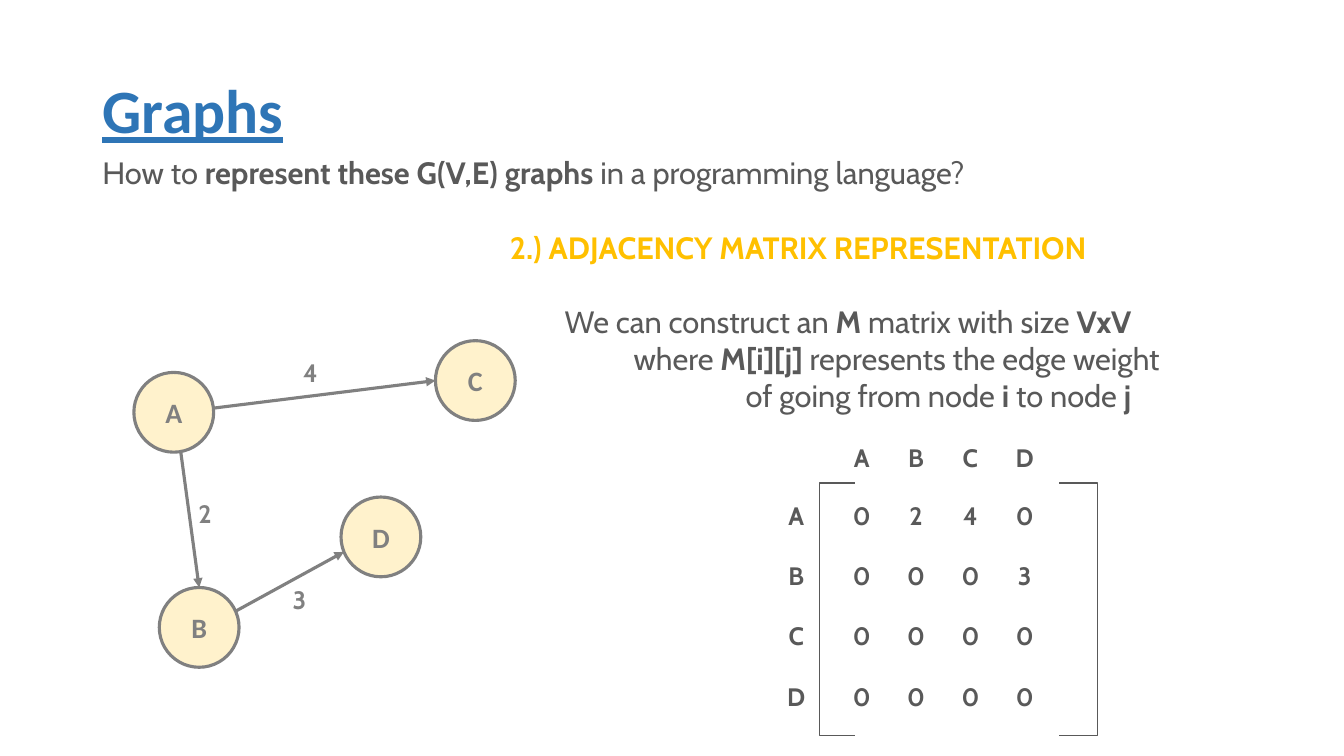
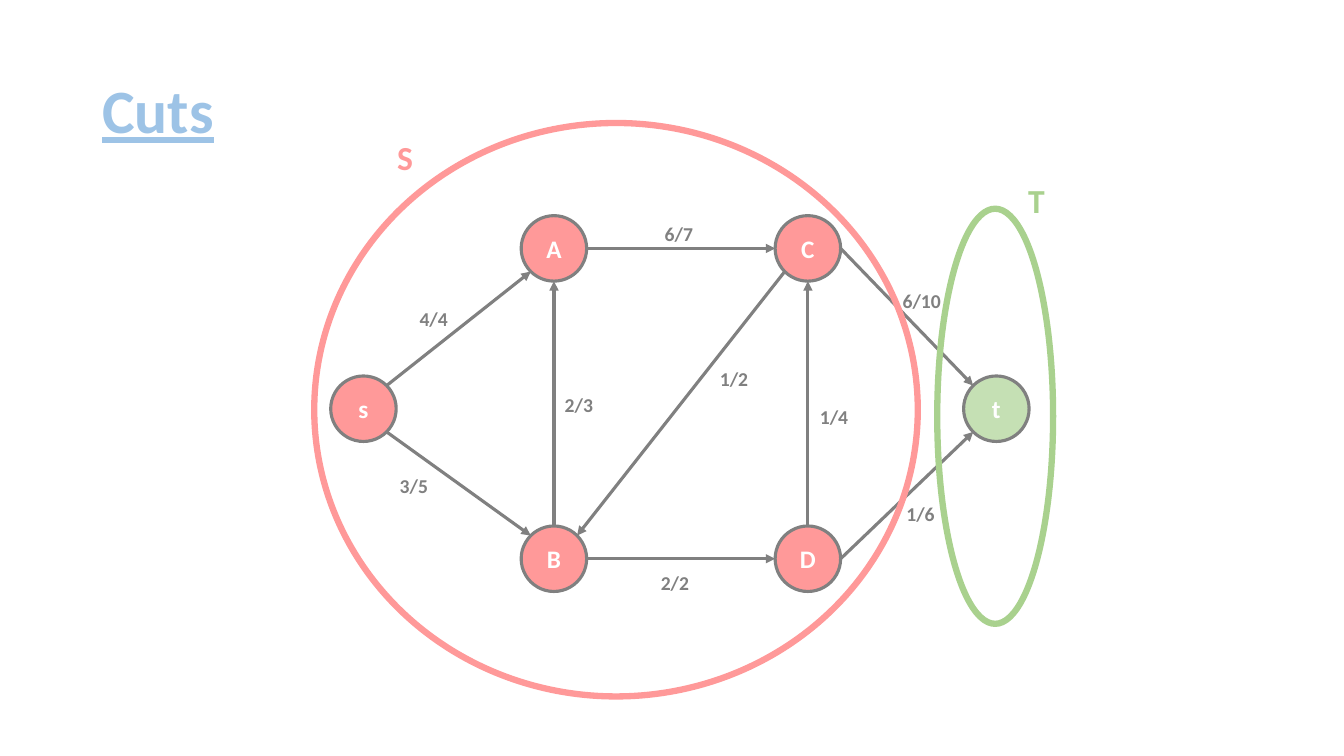
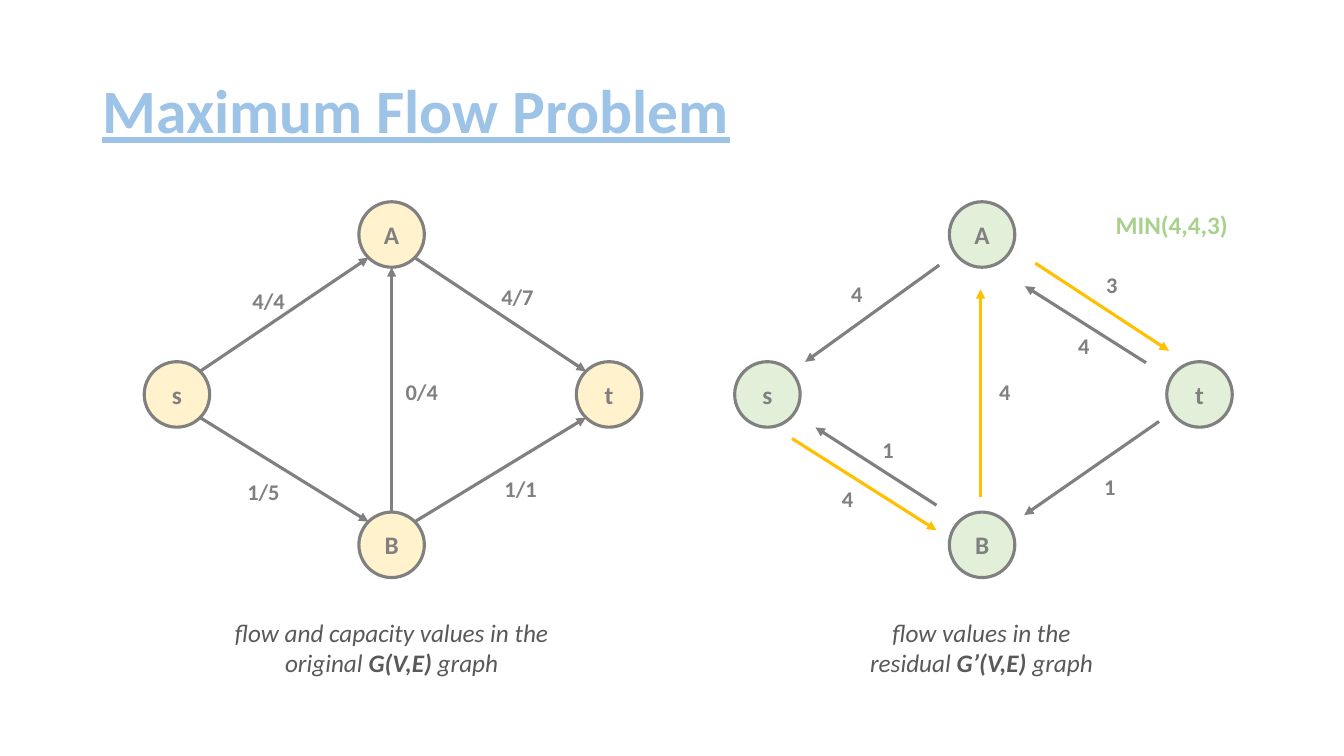
"""Build three slides on graph representation, cuts and maximum flow."""
from math import cos, radians, sin

from lxml.etree import SubElement
from pptx import Presentation
from pptx.dml.color import RGBColor
from pptx.enum.shapes import MSO_CONNECTOR, MSO_SHAPE
from pptx.enum.text import MSO_ANCHOR, PP_ALIGN
from pptx.oxml.ns import qn
from pptx.util import Cm, Pt

COLORS = {
    "blue": "2E75B6",
    "light_blue": "9DC3E6",
    "text": "595959",
    "gray": "808080",
    "gold": "FFC000",
    "cream": "FFF2CC",
    "red": "FF9999",
    "green": "A9D18E",
    "soft_green": "C5E0B4",
    "pale_green": "E2F0D9",
    "white": "FFFFFF",
}
HEADING_FONT = "Calibri"
BODY_FONT = "Cabin"
NODE_SIZE = 1.65


def rgb(name):
    return RGBColor.from_string(COLORS[name])


def lengths(*values):
    return [Cm(value) for value in values]


def write_text(frame, text, size=18, color="text", font=HEADING_FONT, bold=False,
               italic=False, underline=False, align=PP_ALIGN.LEFT, spacing=None,
               indents=()):
    for number, line in enumerate(text.split("\n")):
        paragraph = frame.add_paragraph() if number else frame.paragraphs[0]
        paragraph.alignment = align
        if spacing:
            paragraph.line_spacing = spacing
        if indents:
            paragraph._p.get_or_add_pPr().set("marL", str(Cm(indents[number])))
        for part, words in enumerate(line.split("**")):
            if not words:
                continue
            run = paragraph.add_run()
            run.text = words
            run.font.name = font
            run.font.size = Pt(size)
            run.font.bold = bold or part % 2 == 1
            run.font.italic = italic
            run.font.underline = underline
            run.font.color.rgb = rgb(color)


def add_text(slide, text, box, anchor=MSO_ANCHOR.TOP, wrap=True, **text_format):
    frame = slide.shapes.add_textbox(*lengths(*box)).text_frame
    frame.word_wrap = wrap
    frame.vertical_anchor = anchor
    write_text(frame, text, **text_format)


def add_title(slide, text, color="light_blue"):
    add_text(slide, text, (2.33, 1.02, 29.21, 3.68), anchor=MSO_ANCHOR.MIDDLE,
             size=44, color=color, bold=True, underline=True, spacing=0.9)


def add_label(slide, text, x, y, size=16, color="gray", font=HEADING_FONT):
    width = len(text) * size * 0.018 + 0.5
    height = size * 0.042 + 0.25
    add_text(slide, text, (x - width / 2, y - height / 2, width, height), wrap=False,
             size=size, color=color, font=font, bold=True, align=PP_ALIGN.CENTER)


def add_labels(slide, labels, **text_format):
    for text, x, y in labels:
        add_label(slide, text, x, y, **text_format)


def add_outline(slide, kind, box, color, width, fill=None):
    shape = slide.shapes.add_shape(kind, *lengths(*box))
    shape.shadow.inherit = False
    if fill:
        shape.fill.solid()
        shape.fill.fore_color.rgb = rgb(fill)
    else:
        shape.fill.background()
    shape.line.color.rgb = rgb(color)
    shape.line.width = Pt(width)
    return shape


def add_node(slide, name, center, fill, diameter=NODE_SIZE, size=18, color="gray"):
    x, y = center
    box = (x - diameter / 2, y - diameter / 2, diameter, diameter)
    shape = add_outline(slide, MSO_SHAPE.OVAL, box, "gray", 2.25, fill)
    frame = shape.text_frame
    frame.margin_left = frame.margin_right = 0
    frame.vertical_anchor = MSO_ANCHOR.MIDDLE
    write_text(frame, name, size=size, color=color, bold=True, align=PP_ALIGN.CENTER)


def add_arrow(slide, start, end, color="gray"):
    connector = slide.shapes.add_connector(MSO_CONNECTOR.STRAIGHT, *lengths(*start, *end))
    connector.line.color.rgb = rgb(color)
    connector.line.width = Pt(2.25)
    properties = connector._element.spPr
    SubElement(properties.find(qn("a:ln")), qn("a:tailEnd"), type="triangle")
    SubElement(properties, qn("a:effectLst"))


def rim_point(center, angle, diameter):
    x, y = center
    radius = diameter / 2
    return x + radius * cos(radians(angle)), y - radius * sin(radians(angle))


def add_edges(slide, nodes, edges, diameter=NODE_SIZE):
    for source, leave, target, arrive in edges:
        add_arrow(slide, rim_point(nodes[source], leave, diameter),
                  rim_point(nodes[target], arrive, diameter))


def add_matrix(slide, names, rows):
    cells = [["", *names]] + [[name, *row] for name, row in zip(names, rows)]
    widths = [1.93] + [1.37] * len(names)
    heights = [1.4] + [1.52] * len(rows)
    box = (19.1, 10.85, sum(widths), sum(heights))
    table = slide.shapes.add_table(len(cells), len(widths), *lengths(*box)).table
    table.first_row = False
    table.horz_banding = False
    for column, width in zip(table.columns, widths):
        column.width = Cm(width)
    for row, height, values in zip(table.rows, heights, cells):
        row.height = Cm(height)
        for cell, value in zip(row.cells, values):
            cell.fill.background()
            cell.margin_left = cell.margin_right = 0
            cell.margin_top = cell.margin_bottom = 0
            cell.vertical_anchor = MSO_ANCHOR.MIDDLE
            write_text(cell.text_frame, str(value), font=BODY_FONT, bold=True,
                       align=PP_ALIGN.CENTER)
    for kind, left, width in ((MSO_SHAPE.LEFT_BRACKET, 20.65, 0.89),
                              (MSO_SHAPE.RIGHT_BRACKET, 26.7, 0.96)):
        bracket = add_outline(slide, kind, (left, 12.17, width, 6.37), "text", 1)
        bracket.adjustments[0] = 0


def build_graphs(slide):
    add_title(slide, "Graphs", color="blue")
    add_text(slide, "How to **represent these G(V,E) graphs** in a programming language?",
             (2.33, 3.76, 24.18, 1.19), size=22, font=BODY_FONT)
    add_text(slide, "2.) ADJACENCY MATRIX REPRESENTATION", (12.6, 5.64, 19.38, 1.19),
             size=22, color="gold", font=BODY_FONT, bold=True)
    add_text(slide,
             "We can construct an **M** matrix with size **VxV**\n"
             "where **M[i][j]** represents the edge weight\n"
             "of going from node **i** to node **j**",
             (12.6, 7.5, 19.38, 3.1), size=22, font=BODY_FONT, indents=(1.38, 3.12, 5.94))

    diameter = 2.01
    nodes = {"A": (4.38, 10.39), "C": (11.98, 9.59), "B": (5.02, 15.81), "D": (9.6, 13.53)}
    edges = [("A", 6, "C", 180), ("A", 280, "B", 90), ("B", 24, "D", 202)]
    add_edges(slide, nodes, edges, diameter)
    for name, center in nodes.items():
        add_node(slide, name, center, "cream", diameter, size=20)
    add_labels(slide, [("4", 7.8, 9.37), ("2", 5.16, 12.93), ("3", 7.54, 15.11)],
               size=18, font=BODY_FONT)
    add_matrix(slide, "ABCD", [(0, 2, 4, 0), (0, 0, 0, 3), (0, 0, 0, 0), (0, 0, 0, 0)])


def build_cuts(slide):
    add_title(slide, "Cuts")
    nodes = {"s": (9.16, 10.3), "A": (13.96, 6.26), "C": (20.36, 6.26),
             "t": (25.11, 10.3), "B": (13.96, 14.08), "D": (20.36, 14.08)}
    edges = [
        ("s", 45, "A", 225), ("s", 315, "B", 135), ("B", 90, "A", 270),
        ("B", 0, "D", 180), ("A", 0, "C", 180), ("C", 225, "B", 45),
        ("D", 90, "C", 270), ("D", 0, "t", 225), ("C", 0, "t", 135),
    ]
    add_edges(slide, nodes, edges)
    for name, center in nodes.items():
        fill = "soft_green" if name == "t" else "red"
        add_node(slide, name, center, fill, color="white")
    add_labels(slide, [
        ("4/4", 10.93, 8.03), ("3/5", 10.43, 12.24), ("2/2", 17.01, 14.68),
        ("6/7", 17.11, 5.89), ("6/10", 23.23, 7.57), ("1/4", 21.02, 10.49),
        ("1/6", 23.2, 12.93), ("2/3", 14.59, 10.19), ("1/2", 18.5, 9.55),
    ], size=14)
    add_label(slide, "S", 10.21, 3.96, size=24, color="red")
    add_label(slide, "T", 26.12, 5.05, size=24, color="green")
    add_outline(slide, MSO_SHAPE.OVAL, (7.92, 3.1, 15.21, 14.45), "red", 4.5)
    add_outline(slide, MSO_SHAPE.OVAL, (23.62, 5.26, 2.92, 10.46), "green", 4.5)


def build_maximum_flow(slide):
    add_title(slide, "Maximum Flow Problem")
    nodes = {"s": (4.46, 9.94), "A": (9.87, 5.91), "t": (15.35, 9.94), "B": (9.87, 13.73)}
    edges = [("s", 45, "A", 225), ("s", 315, "B", 135), ("B", 90, "A", 270),
             ("A", 315, "t", 135), ("B", 45, "t", 225)]
    add_edges(slide, nodes, edges)
    for offset, fill in ((0, "cream"), (14.88, "pale_green")):
        for name, (x, y) in nodes.items():
            add_node(slide, name, (x + offset, y), fill)
    add_labels(slide, [("4/4", 6.77, 7.56), ("1/5", 6.64, 12.38), ("4/7", 13.04, 7.48),
                       ("0/4", 10.63, 9.87), ("1/1", 13.12, 12.31)])

    residual_arrows = [
        ((23.67, 6.68), (20.29, 9.12), "gray"),
        ((19.96, 11.05), (23.6, 13.36), "gold"),
        ((24.71, 12.52), (24.71, 7.29), "gold"),
        ((29.21, 10.62), (25.81, 12.98), "gray"),
        ((26.09, 6.63), (29.46, 8.84), "gold"),
        ((23.6, 12.73), (20.55, 10.77), "gray"),
        ((28.88, 9.14), (25.83, 7.21), "gray"),
    ]
    for start, end, color in residual_arrows:
        add_arrow(slide, start, end, color)
    add_labels(slide, [
        ("4", 21.59, 7.4), ("4", 21.36, 12.56), ("4", 25.32, 9.87), ("1", 27.97, 12.26),
        ("3", 28.02, 7.18), ("1", 22.38, 11.32), ("4", 27.31, 8.7),
    ])
    add_label(slide, "MIN(4,4,3)", 29.53, 5.66, size=18, color="green")

    captions = [
        ("flow and capacity values in the\noriginal **G(V,E)** graph", 5.54, 8.66),
        ("flow values in the\nresidual **G’(V,E)** graph", 21.56, 6.35),
    ]
    for text, left, width in captions:
        add_text(slide, text, (left, 15.42, width, 1.8), italic=True,
                 align=PP_ALIGN.CENTER)


def main():
    presentation = Presentation()
    presentation.slide_width = Cm(33.87)
    presentation.slide_height = Cm(19.05)
    for build in (build_graphs, build_cuts, build_maximum_flow):
        build(presentation.slides.add_slide(presentation.slide_layouts[6]))
    presentation.save("out.pptx")


if __name__ == "__main__":
    main()
